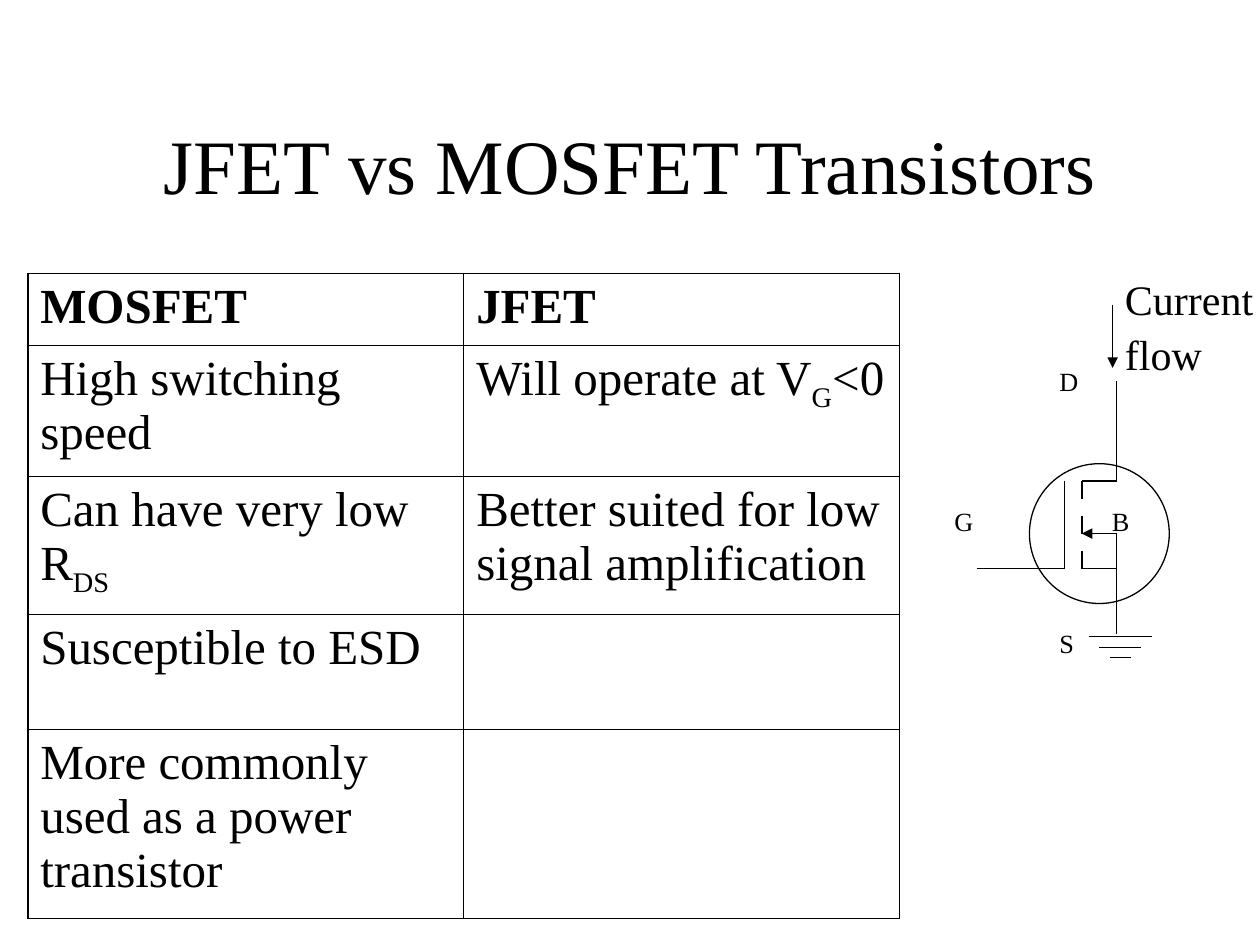
from pptx import Presentation
from pptx.dml.color import RGBColor
from pptx.enum import shapes, text
from pptx.oxml.ns import qn
from pptx.util import Inches, Pt
from lxml import etree

FONT = "Times New Roman"
BLACK = "000000"

# Symbol grid: an eighth of the circle, counted from its top left corner
LEFT, TOP, UNIT = 8.17, 3.68, 1.11 / 8

COLS = [3.46, 3.46]
ROWS = [0.57, 1.04, 1.1, 0.91, 1.5]
# A cell is a list of runs; every second run is a subscript
CELLS = [
    [["MOSFET"], ["JFET"]],
    [["High switching speed"], ["Will operate at V", "G", "<0"]],
    [["Can have very low R", "DS"],
     ["Better suited for low signal amplification"]],
    [["Susceptible to ESD"], []],
    [["More commonly used as a power transistor"], []],
]


def color(value):
    return RGBColor.from_string(value)


def grid(col, row):
    return Inches(LEFT + col * UNIT), Inches(TOP + row * UNIT)


def style_run(r, size, bold=False):
    r.font.name, r.font.size, r.font.bold = FONT, Pt(size), bold
    r.font.color.rgb = color(BLACK)


def add_text(parent, words, x, y, w, h, size, before=0, spacing=None,
             align=text.PP_ALIGN.LEFT, anchor=text.MSO_ANCHOR.TOP):
    sp = parent.add_textbox(x, y, w, h)
    tf = sp.text_frame
    tf.word_wrap, tf.vertical_anchor = True, anchor
    tf.text = words
    p = tf.paragraphs[0]
    p.alignment, p.space_before, p.line_spacing = align, Pt(before), spacing
    style_run(p.runs[0], size)


def add_line(parent, start, end, arrow=False):
    c = parent.add_connector(shapes.MSO_CONNECTOR.STRAIGHT, *start, *end)
    c.line.color.rgb, c.line.width = color(BLACK), Pt(0.75)
    if arrow:
        etree.SubElement(c.line._get_or_add_ln(), qn("a:tailEnd"),
                         type="triangle")
    etree.SubElement(c._element.spPr, qn("a:effectLst"))


def add_border(cell, side, width):
    ln = etree.SubElement(cell._tc.get_or_add_tcPr(), qn("a:" + side),
                          w=str(Pt(width)))
    fill = etree.SubElement(ln, qn("a:solidFill"))
    etree.SubElement(fill, qn("a:srgbClr"), val=BLACK)


def fill_cell(cell, runs, bold):
    p = cell.text_frame.paragraphs[0]
    p.space_before = Pt(7)
    p.font.size = Pt(28)
    for i, words in enumerate(runs):
        r = p.add_run()
        r.text = words
        style_run(r, 28, bold)
        if i % 2:
            r.font._element.set("baseline", "-25000")


def add_comparison(s):
    frame = s.shapes.add_table(len(ROWS), len(COLS), Inches(0.22),
                               Inches(2.17), Inches(sum(COLS)),
                               Inches(sum(ROWS)))
    table = frame.table
    table.first_row = table.horz_banding = False
    for column, width in zip(table.columns, COLS):
        column.width = Inches(width)
    for i, (row, height) in enumerate(zip(table.rows, ROWS)):
        row.height = Inches(height)
        for j, cell in enumerate(row.cells):
            fill_cell(cell, CELLS[i][j], bold=i == 0)
            outer = {"lnL": j == 0, "lnR": j == len(COLS) - 1,
                     "lnT": i == 0, "lnB": i == len(ROWS) - 1}
            for side, is_outer in outer.items():
                add_border(cell, side, 1.08 if is_outer else 0.45)
            cell.fill.background()


def add_symbol(s):
    parts = s.shapes.add_group_shape().shapes

    # Body
    sp = parts.add_shape(shapes.MSO_SHAPE.OVAL, *grid(0, 0),
                         Inches(8 * UNIT), Inches(8 * UNIT))
    sp.shadow.inherit = False
    sp.fill.background()
    sp.line.color.rgb, sp.line.width = color(BLACK), Pt(0.75)

    # Gate
    add_line(parts, grid(2, 1), grid(2, 6))
    add_line(parts, grid(2, 6), grid(-3, 6))

    # Broken channel
    for row in (1, 3, 5):
        add_line(parts, grid(3, row), grid(3, row + 1))

    # Drain, body and source
    add_line(parts, grid(3, 1), grid(5, 1))
    add_line(parts, grid(5, -4.7), grid(5, 1))
    add_line(parts, grid(5, 4), grid(3, 4), arrow=True)
    add_line(parts, grid(3, 6), grid(5, 6))
    add_line(parts, grid(5, 4), grid(5, 9.75))

    # Ground
    for i in range(3):
        half, row = 0.6 * (3 - i), 9.9 + 0.6 * i
        add_line(parts, grid(5.2 - half, row), grid(5.2 + half, row))

    # Terminal names
    for name, col, row in (("B", 4, 2), ("S", 1, 9), ("G", -5, 2),
                           ("D", 1, -6)):
        add_text(parts, name, *grid(col, row), Inches(7 * UNIT),
                 Inches(0.35), 15, before=9.4)


def main():
    prs = Presentation()
    prs.slide_width, prs.slide_height = Inches(10), Inches(7.5)
    s = prs.slides.add_slide(prs.slide_layouts[6])

    # Title
    add_text(s.shapes, "JFET vs MOSFET Transistors", Inches(0.75),
             Inches(0.67), Inches(8.5), Inches(1.25), 44,
             align=text.PP_ALIGN.CENTER, anchor=text.MSO_ANCHOR.MIDDLE)

    # Current direction
    x = Inches(8.83)
    add_line(s.shapes, (x, Inches(2.42)), (x, Inches(2.92)), arrow=True)
    add_text(s.shapes, "Current flow", x, Inches(2.08), Inches(1.42),
             Inches(0.9), 24, before=15, spacing=1.1)

    add_symbol(s)
    add_comparison(s)
    prs.save("out.pptx")


if __name__ == "__main__":
    main()
